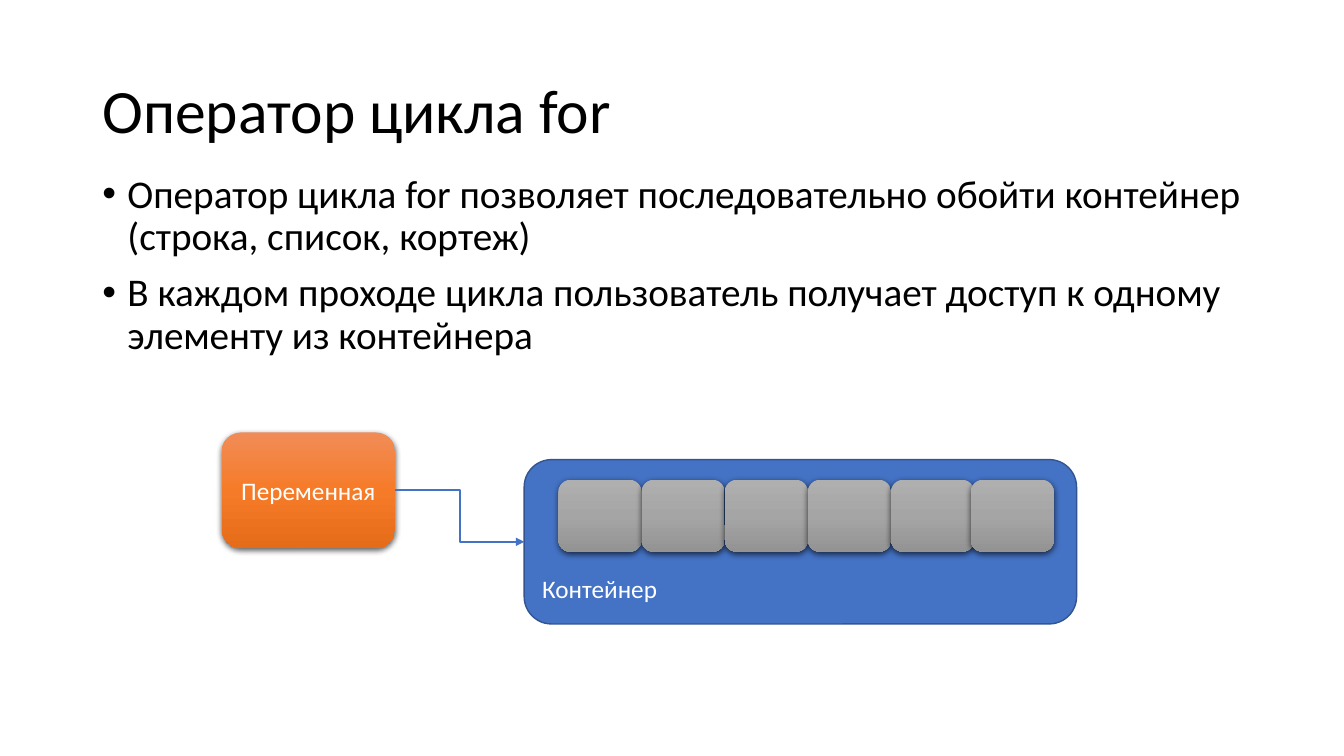
from copy import deepcopy
from dataclasses import dataclass

from lxml.etree import SubElement
from pptx import Presentation
from pptx.dml.color import RGBColor
from pptx.enum.shapes import MSO_CONNECTOR as Link, MSO_SHAPE as Form
from pptx.enum.text import MSO_ANCHOR as Anchor, PP_ALIGN as Align
from pptx.oxml.ns import qn
from pptx.shapes.autoshape import Shape
from pptx.shapes.connector import Connector
from pptx.slide import Slide
from pptx.text.text import _Paragraph as Para
from pptx.util import Pt

GREY = ("AFAFAF", "A5A5A5", "939393")
ORANGE = ("F18C57", "F67B28", "E56C19")
POINTS = (
    "Оператор цикла for позволяет последовательно обойти контейнер (строка, список, кортеж)",
    "В каждом проходе цикла пользователь получает доступ к одному элементу из контейнера",
)


@dataclass(frozen=True)
class Box:
    left: float
    top: float
    width: float
    height: float

    def place(self) -> tuple[Pt, Pt, Pt, Pt]:
        return Pt(self.left), Pt(self.top), Pt(self.width), Pt(self.height)


@dataclass(frozen=True)
class Tile:
    box: Box
    tones: tuple[str, str, str]


TITLE = Box(66, 28.8, 828, 104.4)
BODY = Box(66, 121, 828, 342.7)
HOLDER = Box(374.4, 328.3, 394.6, 117.4)
CELL_X = [398.9 + 59.4 * i for i in range(5)] + [693.4]
CELLS = [Tile(Box(x, 342.7, 59.4, 51.4), GREY) for x in CELL_X]
NAME = Tile(Box(158.4, 308.9, 123.8, 82.8), ORANGE)


def color(code: str) -> RGBColor:
    return RGBColor.from_string(code)


def style(para: Para, size: float, code: str) -> None:
    para.font.name = "Calibri"
    para.font.size = Pt(size)
    para.font.color.rgb = color(code)


def add_title(slide: Slide, text: str) -> None:
    frame = slide.shapes.add_textbox(*TITLE.place()).text_frame
    frame.word_wrap = True
    frame.vertical_anchor = Anchor.MIDDLE
    para = frame.paragraphs[0]
    para.text = text
    para.line_spacing = 0.9
    style(para, 44, "000000")


def add_body(slide: Slide) -> None:
    frame = slide.shapes.add_textbox(*BODY.place()).text_frame
    frame.word_wrap = True
    for i, text in enumerate(POINTS):
        para = frame.add_paragraph() if i else frame.paragraphs[0]
        para.text = text
        para.line_spacing = 0.9
        para.space_before = Pt(10 if i else 0)
        props = para._p.get_or_add_pPr()
        props.set("marL", str(Pt(18)))
        props.set("indent", str(Pt(-18)))
        SubElement(props, qn("a:buFont"), typeface="Arial")
        SubElement(props, qn("a:buChar"), char="•")
        style(para, 28, "000000")


def add_round(slide: Slide, box: Box) -> Shape:
    shape = slide.shapes.add_shape(Form.ROUNDED_RECTANGLE, *box.place())
    shape.shadow.inherit = False
    return shape


def label(shape: Shape, text: str, align: Align, anchor: Anchor) -> None:
    frame = shape.text_frame
    frame.word_wrap = True
    frame.vertical_anchor = anchor
    para = frame.paragraphs[0]
    para.text = text
    para.alignment = align
    style(para, 18, "FFFFFF")


def add_tile(slide: Slide, tile: Tile) -> Shape:
    shape = add_round(slide, tile.box)
    shape.line.fill.background()
    fill = shape.fill
    fill.gradient()
    fill.gradient_angle = 270
    props = shape.element.spPr
    stops = next(props.iter(qn("a:gsLst")))
    stops.append(deepcopy(stops[0]))
    for i, (stop, tone) in enumerate(zip(fill.gradient_stops, tile.tones)):
        stop.position = i / 2
        stop.color.rgb = color(tone)
    shade = SubElement(
        props.find(qn("a:effectLst")), qn("a:outerShdw"),
        blurRad=str(Pt(4.5)), dist=str(Pt(1.5)), dir="5400000",
        algn="ctr", rotWithShape="0",
    )
    tint = SubElement(shade, qn("a:srgbClr"), val="000000")
    SubElement(tint, qn("a:alpha"), val="63000")
    return shape


def add_arrow(slide: Slide, start: Shape, end: Shape) -> Connector:
    arrow = slide.shapes.add_connector(Link.ELBOW, 0, 0, 0, 0)
    arrow.begin_connect(start, 3)
    arrow.end_connect(end, 1)
    arrow.line.color.rgb = color("4472C4")
    arrow.line.width = Pt(1.5)
    SubElement(arrow.line._get_or_add_ln(), qn("a:tailEnd"), type="triangle")
    SubElement(arrow._element.spPr, qn("a:effectLst"))
    return arrow


def main() -> None:
    deck = Presentation()
    deck.slide_width, deck.slide_height = Pt(960), Pt(540)
    slide = deck.slides.add_slide(deck.slide_layouts[6])
    add_title(slide, "Оператор цикла for")
    add_body(slide)
    holder = add_round(slide, HOLDER)
    holder.fill.solid()
    holder.fill.fore_color.rgb = color("4472C4")
    holder.line.color.rgb = color("325491")
    holder.line.width = Pt(1)
    label(holder, "Контейнер", Align.LEFT, Anchor.BOTTOM)
    holder.text_frame.margin_bottom = Pt(9)
    for cell in CELLS:
        add_tile(slide, cell)
    name = add_tile(slide, NAME)
    label(name, "Переменная", Align.CENTER, Anchor.MIDDLE)
    add_arrow(slide, name, holder)
    deck.save("out.pptx")


if __name__ == "__main__":
    main()
